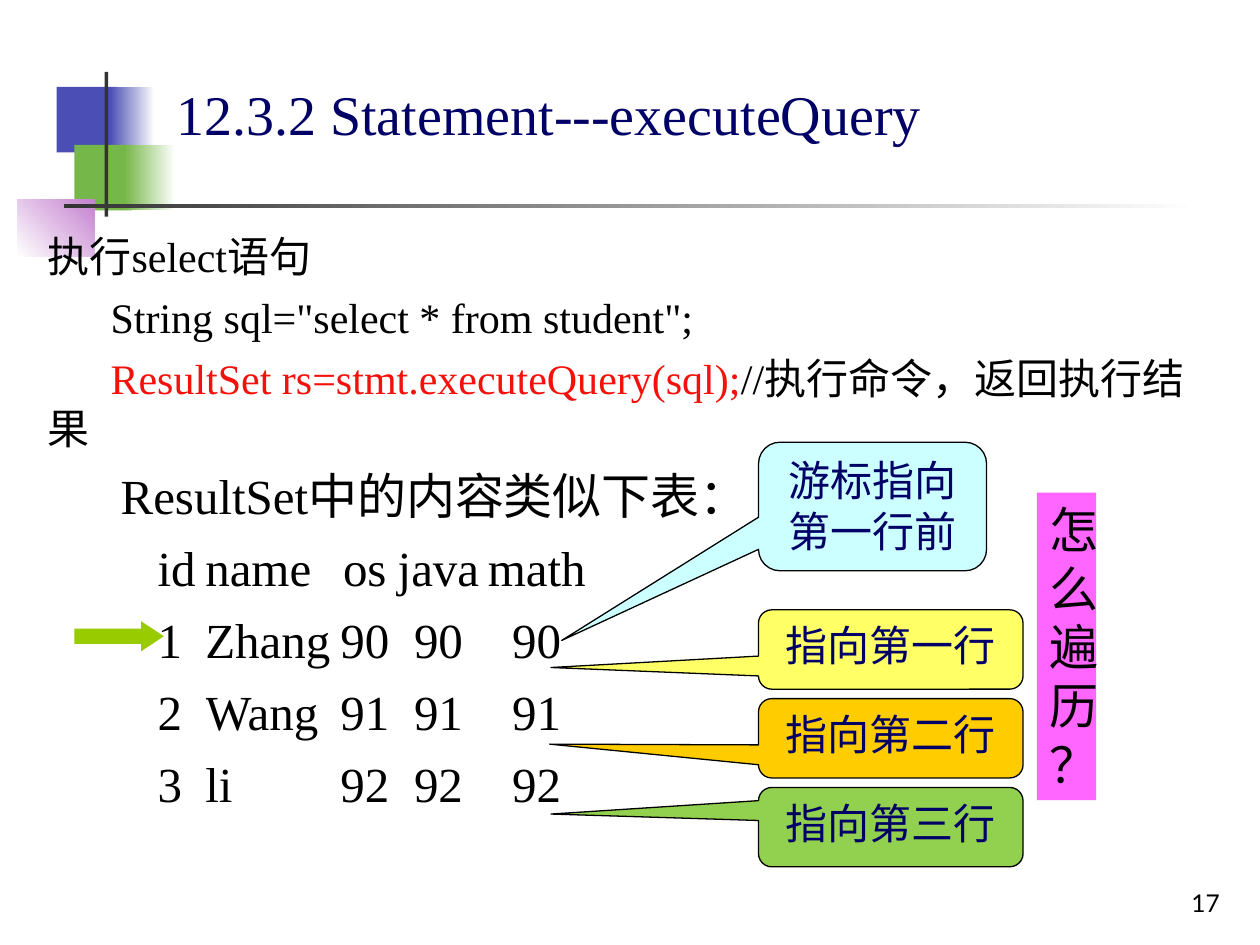
from typing import NamedTuple
from pptx import Presentation
from pptx import util as u
from pptx.dml import color
from pptx.enum import shapes, text

SERIF = "Times New Roman"
NAVY, BLACK, RED = "000066", "000000", "F5110B"
LEFT, MID, RIGHT = text.PP_ALIGN.LEFT, text.PP_ALIGN.CENTER, text.PP_ALIGN.RIGHT
TOP, CENTER = text.MSO_ANCHOR.TOP, text.MSO_ANCHOR.MIDDLE
BASE = text.MSO_ANCHOR.BOTTOM
KIND = shapes.MSO_SHAPE


class Box(NamedTuple):
    x: float
    y: float
    w: float
    h: float


class Block(NamedTuple):
    box: Box
    start: str
    end: str = ""
    angle: int = 0


class Callout(NamedTuple):
    words: str
    box: Box
    fill: str
    tip: tuple


class Line(NamedTuple):
    runs: tuple
    size: int = 24
    gap: float = 6
    indent: float = 0


class Column(NamedTuple):
    width: float
    align: text.PP_ALIGN
    cells: tuple


def rgb(code: str):
    return color.RGBColor.from_string(code)


def place(box: Box) -> list:
    return [u.Inches(v) for v in box]


def add_run(para, words: str, size: int, tint: str, font: str = SERIF):
    run = para.add_run()
    run.text = words
    run.font.size = u.Pt(size)
    run.font.name = font
    run.font.color.rgb = rgb(tint)


def set_frame(shape, anchor):
    frame = shape.text_frame
    frame.word_wrap = True
    frame.vertical_anchor = anchor
    return frame


def write(shape, words: str, size: int, tint: str, align, anchor, font=SERIF):
    para = set_frame(shape, anchor).paragraphs[0]
    para.alignment = align
    add_run(para, words, size, tint, font)


def add_shape(slide, kind, box: Box, fill: str, edge: str = ""):
    shape = slide.shapes.add_shape(kind, *place(box))
    shape.shadow.inherit = False
    shape.fill.solid()
    shape.fill.fore_color.rgb = rgb(fill)
    if edge:
        shape.line.color.rgb = rgb(edge)
        shape.line.width = u.Pt(0.75)
    else:
        shape.line.fill.background()
    return shape


def add_block(slide, block: Block):
    shape = add_shape(slide, KIND.RECTANGLE, block.box, block.start)
    if block.end:
        shape.fill.gradient()
        shape.fill.gradient_angle = block.angle
        for stop, tint, pos in zip(shape.fill.gradient_stops,
                                   (block.start, block.end), (0, 1)):
            stop.color.rgb = rgb(tint)
            stop.position = pos


def add_callout(slide, item: Callout):
    shape = add_shape(slide, KIND.ROUNDED_RECTANGULAR_CALLOUT,
                      item.box, item.fill, BLACK)
    for i, value in enumerate((*item.tip, 0.167)):
        shape.adjustments[i] = value
    write(shape, item.words, 24, NAVY, MID, TOP)


def add_line(para, line: Line):
    props = para._p.get_or_add_pPr()
    props.set("indent", str(u.Inches(line.indent)))
    para.space_before = u.Pt(line.gap)
    for words, tint in line.runs:
        add_run(para, words, line.size, tint)


def add_grid(slide, x: float, y: float, step: float, cols: list):
    count = len(cols[0].cells)
    box = Box(x, y, sum(col.width for col in cols), step * count)
    grid = slide.shapes.add_table(count, len(cols), *place(box)).table
    grid.first_row = grid.horz_banding = False
    for c, col in enumerate(cols):
        grid.columns[c].width = u.Inches(col.width)
        for r, words in enumerate(col.cells):
            cell = grid.cell(r, c)
            cell.fill.background()
            cell.margin_left = cell.margin_right = 0
            cell.margin_top = cell.margin_bottom = 0
            cell.vertical_anchor = CENTER
            para = cell.text_frame.paragraphs[0]
            para.alignment = col.align
            add_run(para, words, 28, BLACK)


BLOCKS = [
    Block(Box(0.45, 0.69, 0.48, 0.52), "4B4EB5"),
    Block(Box(0.87, 0.69, 0.36, 0.52), "4B4EB5", "FFFFFF"),
    Block(Box(0.59, 1.15, 0.46, 0.52), "76B749"),
    Block(Box(0.99, 1.15, 0.4, 0.52), "76B749", "FFFFFF"),
    Block(Box(0.14, 1.58, 0.61, 0.46), "FFFFFF", "C481CF", 45),
    Block(Box(0.83, 0.57, 0.03, 1.15), "333333"),
    Block(Box(0.51, 1.62, 9, 0.03), "333333", "FFFFFF"),
]

LINES = [
    Line((("执行select语句", BLACK),), gap=0),
    Line((('      String sql="select * from student";', BLACK),)),
    Line((("      ", BLACK), ("ResultSet rs=stmt.executeQuery(sql);", RED),
          ("//执行命令，返回执行结果", BLACK))),
    Line((("ResultSet中的内容类似下表：", BLACK),), 28, 7, 0.58),
]

COLUMNS = [
    Column(0.38, LEFT, ("id", "1", "2", "3")),
    Column(1.05, LEFT, ("name", "Zhang", "Wang", "li")),
    Column(0.43, MID, ("os", "90", "91", "92")),
    Column(0.74, MID, ("java", "90", "91", "92")),
    Column(0.82, MID, ("math", "90", "91", "92")),
]

CALLOUTS = [
    Callout("游标指向第一行前", Box(6.02, 3.51, 1.81, 1.02), "CCFFFF", (-1.363, 1.042)),
    *(Callout(words, Box(6.02, 4.84 + 0.705 * i, 2.1, 0.63), fill, tip)
      for i, (words, fill, tip) in enumerate([
          ("指向第一行", "FFFF66", (-1.284, 0.227)),
          ("指向第二行", "FFCC00", (-1.289, 0.074)),
          ("指向第三行", "92D050", (-1.284, -0.165))])),
]


def main():
    deck = Presentation()
    deck.slide_width, deck.slide_height = u.Inches(10), u.Inches(7.5)
    slide = deck.slides.add_slide(deck.slide_layouts[6])

    # Corner decoration
    for block in BLOCKS:
        add_block(slide, block)

    # Page number and title
    page = slide.shapes.add_textbox(*place(Box(7.7, 6.83, 2.08, 0.5)))
    write(page, "17", 14, BLACK, RIGHT, BASE, "Lato")
    title = slide.shapes.add_textbox(*place(Box(1.3, 0.28, 7.97, 1.23)))
    write(title, "12.3.2 Statement---executeQuery", 32, NAVY, LEFT, CENTER)

    # Code and result rows
    body = slide.shapes.add_textbox(*place(Box(0.28, 1.78, 9.36, 2.45)))
    frame = set_frame(body, TOP)
    for i, line in enumerate(LINES):
        add_line(frame.add_paragraph() if i else frame.paragraphs[0], line)
    add_grid(slide, 1.25, 4.24, 0.57, COLUMNS)

    # Cursor arrow, callouts and question
    arrow = add_shape(slide, KIND.RIGHT_ARROW, Box(0.59, 4.93, 0.71, 0.24), "99CC00")
    arrow.adjustments[1] = 0.751
    for item in CALLOUTS:
        add_callout(slide, item)
    ask = add_shape(slide, KIND.RECTANGLE, Box(8.23, 3.91, 0.47, 2.44), "FF66FF")
    write(ask, "怎么遍历？", 28, BLACK, MID, CENTER)

    deck.save("out.pptx")


if __name__ == "__main__":
    main()
